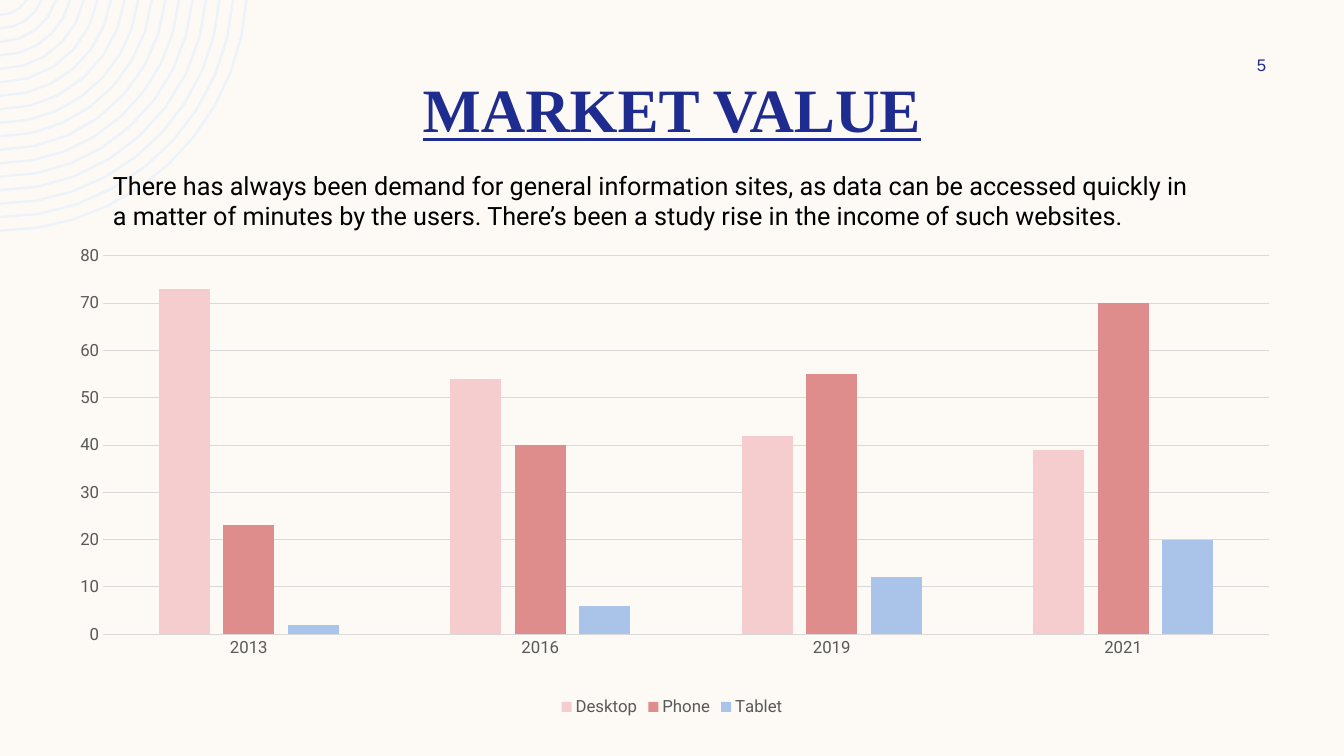
from dataclasses import dataclass
from math import asin, cos, pi, sin

from pptx import Presentation
from pptx.chart.data import CategoryChartData
from pptx.dml.color import RGBColor
from pptx.enum.chart import XL_CHART_TYPE, XL_LEGEND_POSITION, XL_TICK_MARK
from pptx.enum.text import MSO_ANCHOR, MSO_AUTO_SIZE, PP_ALIGN
from pptx.oxml import parse_xml
from pptx.oxml.ns import nsdecls, qn
from pptx.util import Emu, Pt

PX = 914400 / 100.8


@dataclass(frozen=True)
class Theme:
    back: str = "FDFAF6"
    rings: str = "EEF3FA"
    navy: str = "1F2C8F"
    black: str = "000000"
    grey: str = "595959"
    grid: str = "D9D9D9"
    serif: str = "Times New Roman"
    sans: str = "Roboto"
    plain: str = "Arial"
    title: int = 44
    body: int = 18
    small: int = 12


THEME = Theme()
YEARS = ["2013", "2016", "2019", "2021"]
SALES = [
    ("Desktop", "F5CDCE", (73, 54, 42, 39)),
    ("Phone", "DE8C8C", (23, 40, 55, 70)),
    ("Tablet", "AAC3E8", (2, 6, 12, 20)),
]
PLOT = {"x": 0.036, "y": 0.039, "w": 0.951, "h": 0.782}
BODY = (
    "There has always been demand for general information sites, as data can be "
    "accessed quickly in a matter of minutes by the users. There’s been a study "
    "rise in the income of such websites."
)


def px(n):
    return Emu(round(n * PX))


def rgb(code):
    return RGBColor.from_string(code)


def style(font, name, size, color):
    font.name, font.size = name, Pt(size)
    font.color.rgb = rgb(color)


def place(shape, x, y, w, h):
    shape.left, shape.top, shape.width, shape.height = map(px, (x, y, w, h))


def add_rings(slide):
    """Draw thin arcs around a centre just above the slide's top left corner."""
    rise, outer, pitch, thick, count = 16.4, 248.3, 13.48, 2.5, 17

    def arc(r, steps):
        start = asin(rise / r)
        turns = [start + (pi / 2 - start) * i / steps for i in range(steps + 1)]
        return [(px(r * cos(t)), px(r * sin(t) - rise)) for t in turns]

    build = None
    for i in range(count):
        r = outer - pitch * i
        steps = 3 + int(r / 35)
        points = arc(r, steps) + arc(r - thick, steps)[::-1]
        if build is None:
            build = slide.shapes.build_freeform(*points[0])
        else:
            build.move_to(*points[0])
        build.add_line_segments(points[1:], close=True)
    rings = build.convert_to_shape()
    rings.shadow.inherit = False
    rings.fill.solid()
    rings.fill.fore_color.rgb = rgb(THEME.rings)
    rings.line.fill.background()
    rings.element.getparent().insert(2, rings.element)


def add_title(slide, text, box):
    title = slide.shapes.title
    place(title, *box)
    frame = title.text_frame
    frame.text = text
    frame.auto_size = MSO_AUTO_SIZE.NONE
    frame.vertical_anchor = MSO_ANCHOR.BOTTOM
    para = frame.paragraphs[0]
    para.alignment = PP_ALIGN.CENTER
    style(para.font, THEME.serif, THEME.title, THEME.navy)
    para.font.bold = para.font.underline = True


def add_text(slide, text, box, font, align=PP_ALIGN.LEFT, anchor=MSO_ANCHOR.TOP):
    frame = slide.shapes.add_textbox(*map(px, box)).text_frame
    frame.word_wrap = True
    frame.vertical_anchor = anchor
    frame.text = text
    para = frame.paragraphs[0]
    para.alignment = align
    style(para.font, *font)


def set_plot(chart):
    """Fix the inner plot area as fractions of the chart."""
    area = chart.element.find(".//" + qn("c:plotArea"))
    for old in area.findall(qn("c:layout")):
        area.remove(old)
    modes = '<c:xMode val="edge"/><c:yMode val="edge"/>'
    sizes = "".join(f'<c:{key} val="{val}"/>' for key, val in PLOT.items())
    area.insert(0, parse_xml(
        f'<c:layout {nsdecls("c")}><c:manualLayout><c:layoutTarget val="inner"/>'
        f"{modes}{sizes}</c:manualLayout></c:layout>"
    ))


def set_line(line):
    line.color.rgb = rgb(THEME.grid)
    line.width = Pt(0.75)


def add_bars(slide, box):
    data = CategoryChartData()
    data.categories = YEARS
    for name, _, vals in SALES:
        data.add_series(name, vals)
    chart = slide.shapes.add_chart(
        XL_CHART_TYPE.COLUMN_CLUSTERED, *map(px, box), data
    ).chart
    style(chart.font, THEME.sans, THEME.small, THEME.grey)
    chart.has_title = False
    chart.has_legend = True
    chart.legend.position = XL_LEGEND_POSITION.BOTTOM
    chart.legend.include_in_layout = False
    style(chart.legend.font, THEME.sans, THEME.small, THEME.grey)

    plot = chart.plots[0]
    plot.vary_by_categories = False
    plot.gap_width, plot.overlap = 219, -27
    for bars, (_, color, _) in zip(plot.series, SALES):
        bars.format.fill.solid()
        bars.format.fill.fore_color.rgb = rgb(color)

    cats, vals = chart.category_axis, chart.value_axis
    for axis in (cats, vals):
        axis.major_tick_mark = axis.minor_tick_mark = XL_TICK_MARK.NONE
        style(axis.tick_labels.font, THEME.sans, THEME.small, THEME.grey)
    set_line(cats.format.line)
    vals.format.line.fill.background()
    vals.minimum_scale, vals.maximum_scale, vals.major_unit = 0, 80, 10
    vals.has_major_gridlines = True
    set_line(vals.major_gridlines.format.line)
    set_plot(chart)


def main():
    deck = Presentation()
    deck.slide_width, deck.slide_height = px(1344), px(756)
    slide = deck.slides.add_slide(deck.slide_layouts[5])
    slide.background.fill.solid()
    slide.background.fill.fore_color.rgb = rgb(THEME.back)
    add_rings(slide)
    add_title(slide, "MARKET VALUE", (84, 66, 1176, 84))
    add_text(slide, "5", (1207, 50, 109, 30),
             (THEME.plain, THEME.small, THEME.navy),
             PP_ALIGN.CENTER, MSO_ANCHOR.MIDDLE)
    add_text(slide, BODY, (103, 165, 1104, 72),
             (THEME.sans, THEME.body, THEME.black))
    add_bars(slide, (59, 237, 1226, 484))
    deck.save("out.pptx")


if __name__ == "__main__":
    main()
